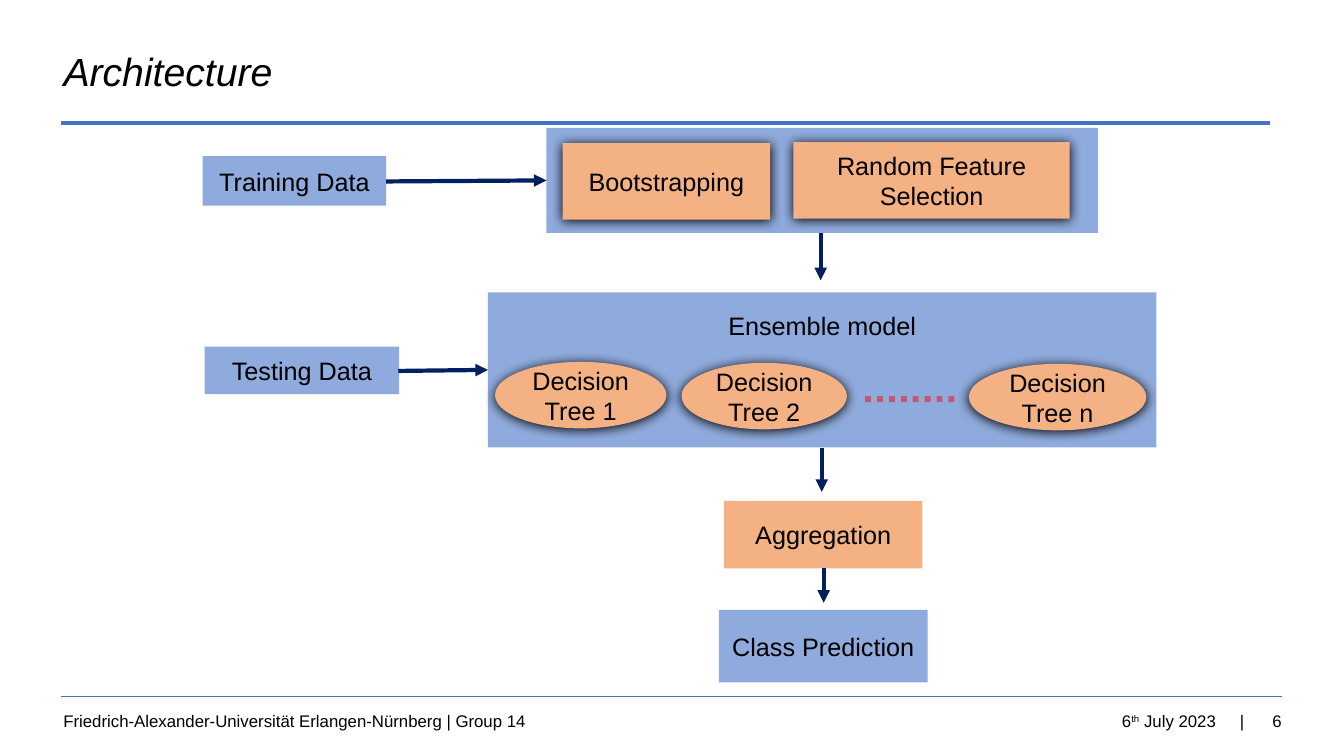
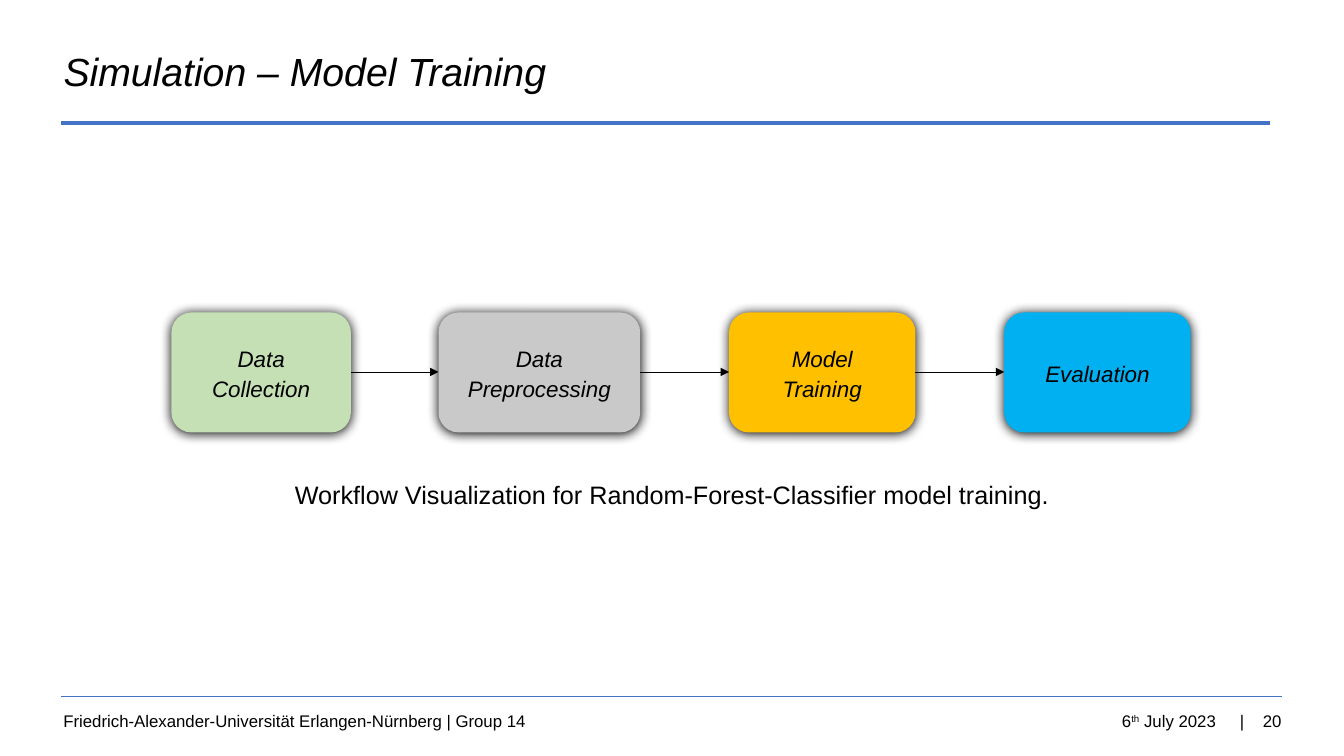
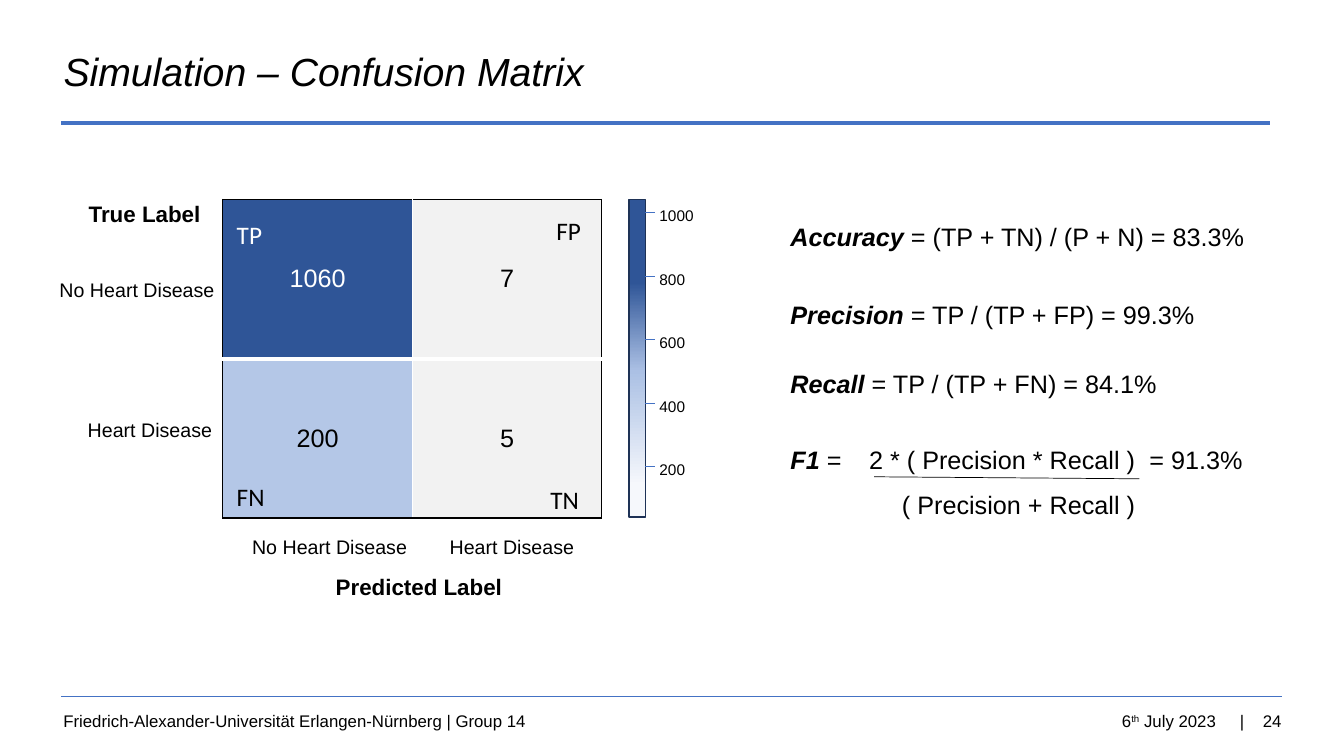
from dataclasses import dataclass

from lxml.etree import SubElement
from pptx import Presentation
from pptx.dml.color import RGBColor
from pptx.enum.dml import MSO_LINE_DASH_STYLE as Dash
from pptx.enum.shapes import MSO_CONNECTOR, MSO_SHAPE as Preset
from pptx.enum.text import MSO_ANCHOR as Anchor, MSO_AUTO_SIZE as AutoSize, PP_ALIGN as Align
from pptx.oxml.ns import qn
from pptx.util import Inches, Pt


@dataclass(frozen=True)
class Theme:
    """Colours, fonts and type sizes shared by the slides."""
    font: str = "Arial"
    tag_font: str = "Calibri"
    black: str = "000000"
    white: str = "FFFFFF"
    accent: str = "4472C4"
    navy: str = "002060"
    sky: str = "8FAADC"
    peach: str = "F4B183"
    red: str = "FF0000"
    green: str = "C5E0B4"
    grey: str = "C9C9C9"
    gold: str = "FFC000"
    cyan: str = "00B0F0"
    high: str = "2F5597"
    middle: str = "B4C7E7"
    low: str = "F2F2F2"
    scale_line: str = "1E3256"
    scale_low: str = "F6F8FC"
    scale_middle: str = "ABC0E4"
    title_size: int = 28
    body_size: int = 18
    step_size: int = 16
    label_size: int = 14
    footer_size: int = 12
    tick_size: int = 11


THEME = Theme()
FOOTER = "Friedrich-Alexander-Universität Erlangen-Nürnberg | Group 14"


def color(value):
    """Return the RGB colour for a hex string."""
    return RGBColor.from_string(value)


def set_font(run, size, ink=THEME.black, font=THEME.font, bold=False, italic=False):
    """Format one run."""
    run.font.name = font
    run.font.size = Pt(size)
    run.font.color.rgb = color(ink)
    run.font.bold = bold
    run.font.italic = italic


def set_frame(frame, inset, anchor):
    """Set the wrapping, insets and anchor of a text frame."""
    frame.word_wrap = True
    frame.auto_size = AutoSize.NONE
    frame.vertical_anchor = anchor
    frame.margin_left = frame.margin_right = Inches(inset)
    frame.margin_top = frame.margin_bottom = Inches(inset)


def add_text(slide, at, lines, size, align=Align.LEFT, inset=0, anchor=Anchor.TOP, spacing=1.1, **style):
    """Add a text box with one paragraph per line."""
    box = slide.shapes.add_textbox(*map(Inches, at))
    frame = box.text_frame
    frame.text = lines
    set_frame(frame, inset, anchor)
    for paragraph in frame.paragraphs:
        paragraph.alignment = align
        paragraph.line_spacing = spacing
        paragraph.space_after = Pt(8)
        for run in paragraph.runs:
            set_font(run, size, **style)
    return box


def add_footer_text(slide, left, width, text, align=Align.RIGHT):
    """Add one part of the footer."""
    return add_text(slide, (left, 6.95, width, 0.4), text, THEME.footer_size, align,
                    inset=0.1, anchor=Anchor.MIDDLE, spacing=1.0)


def add_line(slide, start, end, ink, width, arrow=False):
    """Add a straight line, optionally ending in an arrowhead."""
    line = slide.shapes.add_connector(MSO_CONNECTOR.STRAIGHT, *map(Inches, (*start, *end)))
    line.line.color.rgb = color(ink)
    line.line.width = Pt(width)
    properties = line.element.spPr
    if arrow:
        SubElement(properties.find(qn("a:ln")), qn("a:tailEnd"), type="triangle")
    SubElement(properties, qn("a:effectLst"))
    return line


def add_block(slide, at, fill, text="", preset=Preset.RECTANGLE, size=THEME.body_size,
              inset=0.05, anchor=Anchor.MIDDLE, spacing=1.0, shadow=False, italic=False):
    """Add a filled shape with centred text and an optional shadow."""
    shape = slide.shapes.add_shape(preset, *map(Inches, at))
    shape.fill.solid()
    shape.fill.fore_color.rgb = color(fill)
    shape.line.fill.background()
    shape.shadow.inherit = False
    if shadow:
        effects = shape.element.spPr.find(qn("a:effectLst"))
        outer = SubElement(effects, qn("a:outerShdw"), blurRad=str(Pt(8.5)), dist=str(Pt(1)),
                           dir="5400000", algn="t", rotWithShape="0")
        SubElement(outer, qn("a:srgbClr"), val=THEME.black)
    if text:
        shape.text_frame.text = text
        set_frame(shape.text_frame, inset, anchor)
        paragraph = shape.text_frame.paragraphs[0]
        paragraph.alignment = Align.CENTER
        paragraph.line_spacing = spacing
        set_font(paragraph.runs[0], size, italic=italic)
    return shape


def add_slide(presentation, title, number):
    """Add a slide with the shared title, rules and footer."""
    slide = presentation.slides.add_slide(presentation.slide_layouts[5])
    heading = slide.shapes.title
    heading.left, heading.top, heading.width, heading.height = map(Inches, (0.53, 0.39, 8.81, 0.63))
    heading.text_frame.text = title
    set_frame(heading.text_frame, 0.1, Anchor.MIDDLE)
    paragraph = heading.text_frame.paragraphs[0]
    paragraph.alignment = Align.LEFT
    set_font(paragraph.runs[0], THEME.title_size, italic=True)
    add_line(slide, (0.61, 1.22), (12.6, 1.22), THEME.accent, 3)
    add_line(slide, (0.61, 6.91), (12.72, 6.91), THEME.accent, 0.75)
    add_footer_text(slide, 0.53, 5.49, FOOTER, Align.LEFT)
    add_footer_text(slide, 9.81, 3, str(number))
    add_footer_text(slide, 11.44, 1, "|")
    date = add_footer_text(slide, 9.16, 3, "6")
    for part in ("th", " July 2023"):
        run = date.text_frame.paragraphs[0].add_run()
        run.text = part
        set_font(run, THEME.footer_size)
    list(date.element.iter(qn("a:rPr")))[1].set("baseline", "30000")
    return slide


def build_architecture(presentation):
    """Draw the random forest architecture."""
    slide = add_slide(presentation, "Architecture", 6)
    add_block(slide, (4.84, 2.9, 6.63, 1.54), THEME.sky, "Ensemble model", inset=0.18, anchor=Anchor.TOP)
    add_block(slide, (5.42, 1.27, 5.47, 1.04), THEME.sky)
    for at, text in (
        ((5.58, 1.42, 2.06, 0.76), "Bootstrapping"),
        ((7.87, 1.41, 2.74, 0.76), "Random Feature Selection"),
    ):
        add_block(slide, at, THEME.peach, text, shadow=True)
    for at, name in (
        ((4.91, 3.59, 1.7, 0.66), "1"),
        ((6.76, 3.6, 1.64, 0.66), "2"),
        ((9.61, 3.61, 1.76, 0.66), "n"),
    ):
        add_block(slide, at, THEME.peach, f"Decision Tree {name}", Preset.OVAL, shadow=True)
    for at, fill, text in (
        ((7.18, 4.97, 1.97, 0.67), THEME.peach, "Aggregation"),
        ((7.13, 6.05, 2.07, 0.72), THEME.sky, "Class Prediction"),
        ((2.01, 1.55, 1.82, 0.49), THEME.sky, "Training Data"),
        ((2.03, 3.44, 1.93, 0.47), THEME.sky, "Testing Data"),
    ):
        add_block(slide, at, fill, text)
    for start, end in (
        ((3.83, 1.8), (5.42, 1.79)),
        ((3.95, 3.68), (4.84, 3.67)),
        ((8.14, 2.31), (8.14, 2.78)),
        ((8.15, 4.44), (8.15, 4.88)),
        ((8.17, 5.64), (8.17, 5.98)),
    ):
        add_line(slide, start, end, THEME.navy, 3, arrow=True)
    dots = add_line(slide, (8.58, 3.96), (9.51, 3.96), THEME.red, 4.25)
    dots.line.dash_style = Dash.ROUND_DOT
    SubElement(next(dots.element.spPr.iter(qn("a:srgbClr"))), qn("a:alpha"), val="47000")


def build_training(presentation):
    """Draw the model training workflow."""
    slide = add_slide(presentation, "Simulation – Model Training", 20)
    steps = (
        (1.7, 1.78, THEME.green, "Data Collection"),
        (4.35, 2, THEME.grey, "Data Preprocessing"),
        (7.23, 1.85, THEME.gold, "Model Training"),
        (9.96, 1.85, THEME.cyan, "Evaluation"),
    )
    for left, width, fill, text in steps:
        add_block(slide, (left, 3.1, width, 1.19), fill, text, Preset.ROUNDED_RECTANGLE,
                  THEME.step_size, inset=0.2, spacing=1.1, shadow=True, italic=True)
    for (left, width, *_), (target, *_) in zip(steps, steps[1:]):
        add_line(slide, (left + width, 3.69), (target, 3.69), THEME.black, 0.5, arrow=True)
    add_text(slide, (2.75, 4.73, 7.83, 0.31),
             "Workflow Visualization for Random-Forest-Classifier model training.",
             THEME.body_size, Align.CENTER)


def set_borders(cell, borders):
    """Draw the sides of a cell from colour and width pairs."""
    properties = cell._tc.get_or_add_tcPr()
    for side, (ink, width) in borders.items():
        line = SubElement(properties, qn(f"a:ln{side}"), w=str(Pt(width)))
        SubElement(SubElement(line, qn("a:solidFill")), qn("a:srgbClr"), val=ink)


def add_matrix(slide):
    """Add the confusion matrix table."""
    table = slide.shapes.add_table(2, 2, *map(Inches, (2.21, 1.98, 3.76, 3.16))).table
    table.first_row = table.horz_banding = False
    outer, column_gap, row_gap = (THEME.black, 1), (THEME.white, 1), (THEME.white, 3)
    rows = (
        (("1060", THEME.high, THEME.white), ("7", THEME.low, THEME.black)),
        (("200", THEME.middle, THEME.black), ("5", THEME.low, THEME.black)),
    )
    for row, values in enumerate(rows):
        for column, (text, fill, ink) in enumerate(values):
            cell = table.cell(row, column)
            cell.text = text
            cell.vertical_anchor = Anchor.MIDDLE
            paragraph = cell.text_frame.paragraphs[0]
            paragraph.alignment = Align.CENTER
            set_font(paragraph.runs[0], THEME.body_size, ink)
            set_borders(cell, {
                "L": column_gap if column else outer,
                "R": outer if column else column_gap,
                "T": row_gap if row else outer,
                "B": outer if row else row_gap,
            })
            cell.fill.solid()
            cell.fill.fore_color.rgb = color(fill)


def add_scale(slide):
    """Add the colour scale with its ticks."""
    bar = add_block(slide, (6.24, 1.98, 0.16, 3.15), THEME.high)
    bar.line.color.rgb = color(THEME.scale_line)
    bar.line.width = Pt(1)
    bar.fill.gradient()
    bar.fill.gradient_angle = 90
    stops = next(bar.element.spPr.iter(qn("a:gsLst")))
    for stop in list(stops):
        stops.remove(stop)
    for percent, ink in ((10, THEME.scale_low), (46, THEME.scale_middle), (74, THEME.high), (100, THEME.high)):
        stop = SubElement(stops, qn("a:gs"), pos=str(percent * 1000))
        SubElement(stop, qn("a:srgbClr"), val=ink)
    for index, value in enumerate(range(1000, 0, -200)):
        height = 2.11 + 0.63 * index
        add_line(slide, (6.4, height), (6.5, height), THEME.accent, 0.5)
        add_text(slide, (6.54, height - 0.08, 0.86, 0.19), str(value), THEME.tick_size)


def add_metric(slide, top, name, formula):
    """Add a metric name followed by its formula."""
    box = add_text(slide, (7.84, top, 5, 0.31), f"{name} ", THEME.body_size, bold=True, italic=True)
    run = box.text_frame.paragraphs[0].add_run()
    run.text = formula
    set_font(run, THEME.body_size)


def build_confusion(presentation):
    """Draw the confusion matrix and its metrics."""
    slide = add_slide(presentation, "Simulation – Confusion Matrix", 24)
    add_matrix(slide)
    add_scale(slide)
    for left, top, text, ink in (
        (2.25, 2.08, "TP", THEME.white),
        (5.42, 2.04, "FP", THEME.black),
        (2.25, 4.68, "FN", THEME.black),
        (5.36, 4.71, "TN", THEME.black),
    ):
        add_text(slide, (left, top, 0.6, 0.4), text, THEME.body_size, inset=0.1,
                 spacing=1.0, ink=ink, font=THEME.tag_font)
    for left, top, text in (
        (0.59, 2.73, "No Heart Disease"),
        (0.87, 4.12, "Heart Disease"),
        (2.5, 5.28, "No Heart Disease"),
        (4.46, 5.28, "Heart Disease"),
    ):
        add_text(slide, (left, top, 1.6, 0.24), text, THEME.label_size)
    for left, top, text in ((0.88, 1.96, "True Label"), (3.33, 5.66, "Predicted Label")):
        add_text(slide, (left, top, 1.8, 0.28), text, THEME.step_size, bold=True)
    for top, name, formula in (
        (2.17, "Accuracy", "= (TP + TN) / (P + N) = 83.3%"),
        (2.94, "Precision", "= TP / (TP + FP) = 99.3%"),
        (3.62, "Recall", "= TP / (TP + FN) = 84.1%"),
        (4.38, "F1", "="),
    ):
        add_metric(slide, top, name, formula)
    add_text(slide, (8.4, 4.38, 2.86, 0.75), "2 * ( Precision * Recall )\n( Precision + Recall )",
             THEME.body_size, Align.RIGHT)
    add_text(slide, (11.4, 4.38, 1.3, 0.31), "= 91.3%", THEME.body_size)
    add_line(slide, (8.67, 4.73), (11.3, 4.75), THEME.black, 0.5)


def main():
    """Build and save the presentation."""
    presentation = Presentation()
    presentation.slide_width = Inches(13.33)
    presentation.slide_height = Inches(7.5)
    build_architecture(presentation)
    build_training(presentation)
    build_confusion(presentation)
    presentation.save("out.pptx")


if __name__ == "__main__":
    main()
